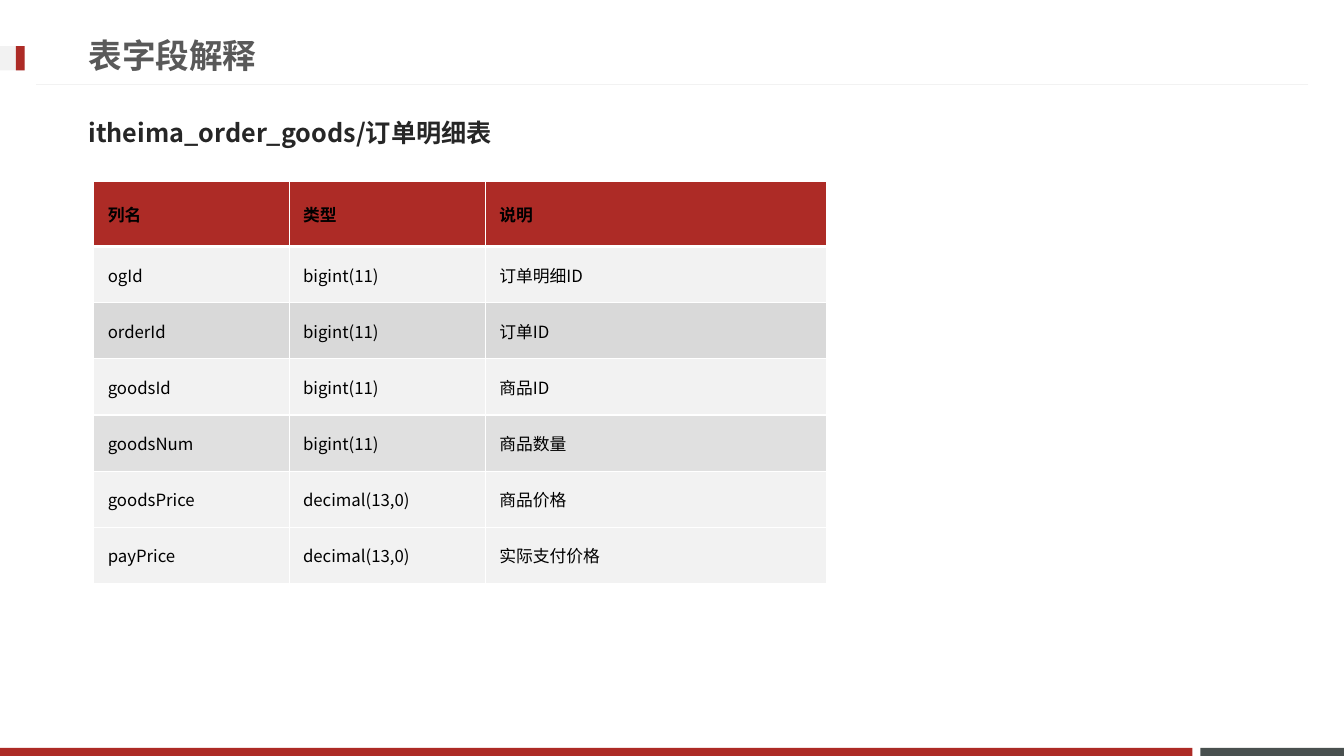
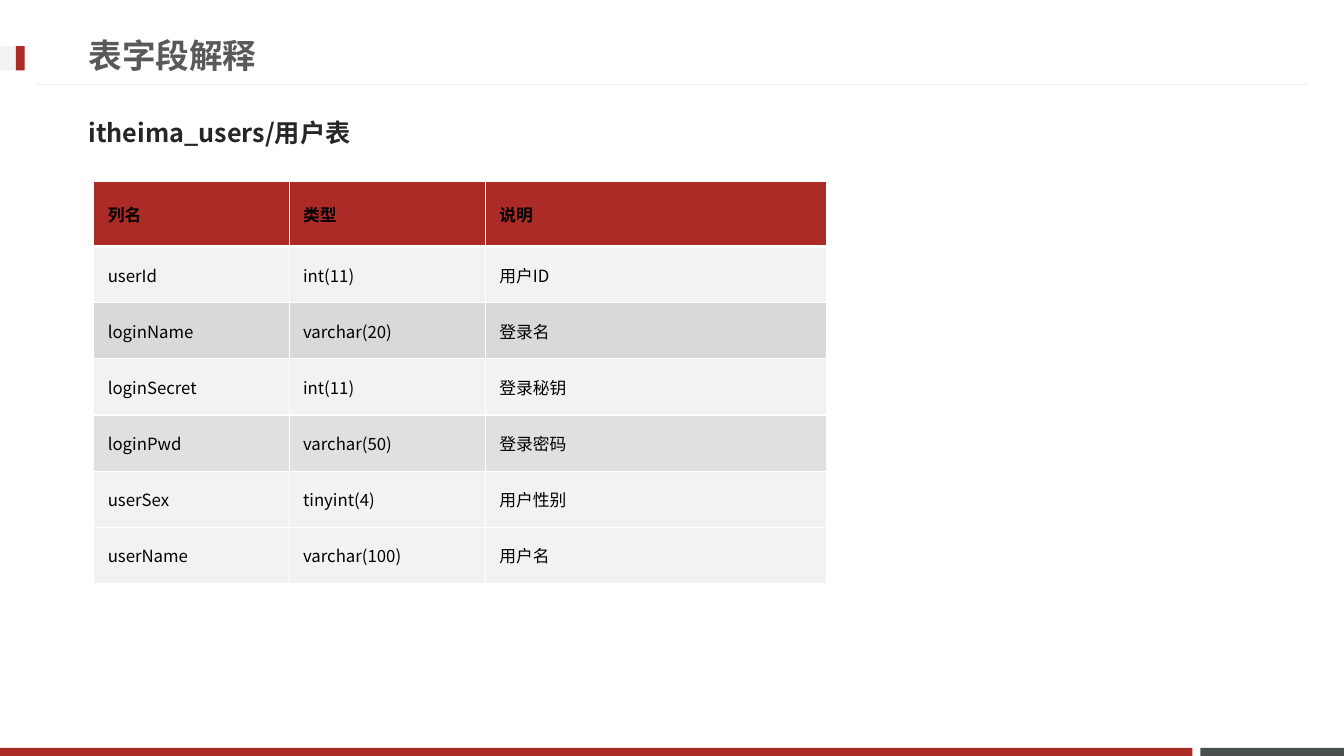
from dataclasses import dataclass
from typing import NamedTuple

from lxml import etree
from pptx import Presentation
from pptx.dml.color import RGBColor
from pptx.enum.shapes import MSO_CONNECTOR, MSO_SHAPE
from pptx.enum.text import MSO_ANCHOR
from pptx.oxml.ns import qn
from pptx.slide import Slide
from pptx.util import Pt

RECTANGLE = MSO_SHAPE.RECTANGLE
STRAIGHT = MSO_CONNECTOR.STRAIGHT
MIDDLE = MSO_ANCHOR.MIDDLE

RED, SLATE, WHITE, BLACK = "AD2B26", "49504F", "FFFFFF", "000000"
PALE_GREY, MID_GREY = "F2F2F2", "D9D9D9"
TITLE_GREY, HEADING_GREY = "595959", "262626"
CHINESE_FONT = "Noto Sans CJK SC"

SLIDE_WIDTH, SLIDE_HEIGHT = 960, 540
TABLE_LEFT, TABLE_TOP = 67, 129.6
COLUMN_WIDTHS = (139.5, 140.2, 244)
HEADER_HEIGHT, ROW_HEIGHT = 46.6, 40.1
THIN_BORDER, THICK_BORDER = 1, 3
CELL_MARGINS = {"margin_left": Pt(10), "margin_right": Pt(10),
                "margin_top": Pt(4.5), "margin_bottom": Pt(4.5)}


class Box(NamedTuple):
    left: float
    top: float
    width: float
    height: float

    def lengths(self) -> list[Pt]:
        return [Pt(value) for value in self]


class Band(NamedTuple):
    box: Box
    colour: str


class TextStyle(NamedTuple):
    font: str
    size: float
    colour: str
    bold: bool


class RowFill(NamedTuple):
    colour: str
    opacity: int = 100


@dataclass(frozen=True)
class FieldSlide:
    heading: str
    fields: tuple[tuple[str, str, str], ...]


BANDS = (
    Band(Box(857.5, 534.2, 102.5, 5.8), SLATE),
    Band(Box(0, 534.2, 851.8, 5.8), RED),
    Band(Box(0, 33, 17.6, 17.4), PALE_GREY),
    Band(Box(11.3, 33, 6.3, 17.4), RED),
)
TITLE_BOX = Box(56.2, 18.7, 690.5, 41)
HEADING_BOX = Box(56.2, 74.2, 842.4, 41)
TITLE_STYLE = TextStyle("Calibri", 24, TITLE_GREY, True)
HEADING_STYLE = TextStyle("Noto Sans CJK JP", 18, HEADING_GREY, True)
HEADER_STYLE = TextStyle(CHINESE_FONT, 12, BLACK, True)
FIELD_STYLE = HEADER_STYLE._replace(bold=False)

TITLE = "表字段解释"
COLUMN_NAMES = ("列名", "类型", "说明")
ROW_FILLS = (RowFill(RED), RowFill(PALE_GREY), RowFill(MID_GREY), RowFill(PALE_GREY),
             RowFill(MID_GREY, 80), RowFill(PALE_GREY), RowFill(PALE_GREY))

FIELD_SLIDES = (
    FieldSlide("itheima_order_goods/订单明细表", (
        ("ogId", "bigint(11)", "订单明细ID"),
        ("orderId", "bigint(11)", "订单ID"),
        ("goodsId", "bigint(11)", "商品ID"),
        ("goodsNum", "bigint(11)", "商品数量"),
        ("goodsPrice", "decimal(13,0)", "商品价格"),
        ("payPrice", "decimal(13,0)", "实际支付价格"),
    )),
    FieldSlide("itheima_users/用户表", (
        ("userId", "int(11)", "用户ID"),
        ("loginName", "varchar(20)", "登录名"),
        ("loginSecret", "int(11)", "登录秘钥"),
        ("loginPwd", "varchar(50)", "登录密码"),
        ("userSex", "tinyint(4)", "用户性别"),
        ("userName", "varchar(100)", "用户名"),
    )),
)


def rgb(colour: str) -> RGBColor:
    return RGBColor.from_string(colour)


def write_text(text_frame, text: str, style: TextStyle) -> None:
    run = text_frame.paragraphs[0].add_run()
    run.text = text
    formats = {"name": style.font, "size": Pt(style.size), "bold": style.bold}
    for attribute, value in formats.items():
        setattr(run.font, attribute, value)
    run.font.color.rgb = rgb(style.colour)
    east_asian = CHINESE_FONT if style.font == "Calibri" else style.font
    latin = run.font._element.find(qn("a:latin"))
    latin.addnext(etree.Element(qn("a:ea"), typeface=east_asian))


def add_text(slide: Slide, box: Box, text: str, style: TextStyle) -> None:
    text_frame = slide.shapes.add_textbox(*box.lengths()).text_frame
    text_frame.word_wrap = True
    text_frame.vertical_anchor = MIDDLE
    write_text(text_frame, text, style)


def add_band(slide: Slide, band: Band) -> None:
    shape = slide.shapes.add_shape(RECTANGLE, *band.box.lengths())
    shape.shadow.inherit = False
    shape.fill.solid()
    shape.fill.fore_color.rgb = rgb(band.colour)
    shape.line.fill.background()


def add_title_rule(slide: Slide) -> None:
    rule = slide.shapes.add_connector(STRAIGHT, Pt(934.6), Pt(60.4), Pt(25.4), Pt(60.4))
    rule.line.color.rgb = rgb(PALE_GREY)
    rule.line.width = Pt(0.75)
    etree.SubElement(rule._element.spPr, qn("a:effectLst"))


def add_frame(slide: Slide) -> None:
    """Draw the bands, rule and title that every slide shares."""
    for band in BANDS:
        add_band(slide, band)
    add_title_rule(slide)
    add_text(slide, TITLE_BOX, TITLE, TITLE_STYLE)


def fill_cell(cell, row_fill: RowFill) -> None:
    cell.fill.solid()
    cell.fill.fore_color.rgb = rgb(row_fill.colour)
    if row_fill.opacity < 100:
        colour = cell._tc.tcPr.find(f".//{qn('a:srgbClr')}")
        etree.SubElement(colour, qn("a:alpha"), val=str(row_fill.opacity * 1000))


def set_borders(cell, row_index: int) -> None:
    """Edge the cell in white, thicker between the header and the first field."""
    widths = {"a:lnL": THIN_BORDER, "a:lnR": THIN_BORDER,
              "a:lnT": THICK_BORDER if row_index == 1 else THIN_BORDER,
              "a:lnB": THICK_BORDER if row_index == 0 else THIN_BORDER}
    properties = cell._tc.get_or_add_tcPr()
    for position, (edge, width) in enumerate(widths.items()):
        line = etree.Element(qn(edge), w=str(Pt(width)))
        solid_fill = etree.SubElement(line, qn("a:solidFill"))
        etree.SubElement(solid_fill, qn("a:srgbClr"), val=WHITE)
        properties.insert(position, line)


def add_field_table(slide: Slide, fields: tuple[tuple[str, str, str], ...]) -> None:
    rows = (COLUMN_NAMES, *fields)
    box = Box(TABLE_LEFT, TABLE_TOP, sum(COLUMN_WIDTHS),
              HEADER_HEIGHT + ROW_HEIGHT * len(fields))
    table = slide.shapes.add_table(len(rows), len(COLUMN_NAMES), *box.lengths()).table
    table.horz_banding = False
    for column, width in zip(table.columns, COLUMN_WIDTHS):
        column.width = Pt(width)
    for row_index, (texts, row_fill) in enumerate(zip(rows, ROW_FILLS)):
        is_header = row_index == 0
        table.rows[row_index].height = Pt(HEADER_HEIGHT if is_header else ROW_HEIGHT)
        for column_index, text in enumerate(texts):
            cell = table.cell(row_index, column_index)
            for attribute, value in CELL_MARGINS.items():
                setattr(cell, attribute, value)
            cell.vertical_anchor = MIDDLE
            fill_cell(cell, row_fill)
            set_borders(cell, row_index)
            write_text(cell.text_frame, text, HEADER_STYLE if is_header else FIELD_STYLE)


def main() -> None:
    presentation = Presentation()
    presentation.slide_width = Pt(SLIDE_WIDTH)
    presentation.slide_height = Pt(SLIDE_HEIGHT)
    blank_layout = presentation.slide_layouts[6]
    for field_slide in FIELD_SLIDES:
        slide = presentation.slides.add_slide(blank_layout)
        add_frame(slide)
        add_text(slide, HEADING_BOX, field_slide.heading, HEADING_STYLE)
        add_field_table(slide, field_slide.fields)
    presentation.save("out.pptx")


if __name__ == "__main__":
    main()
